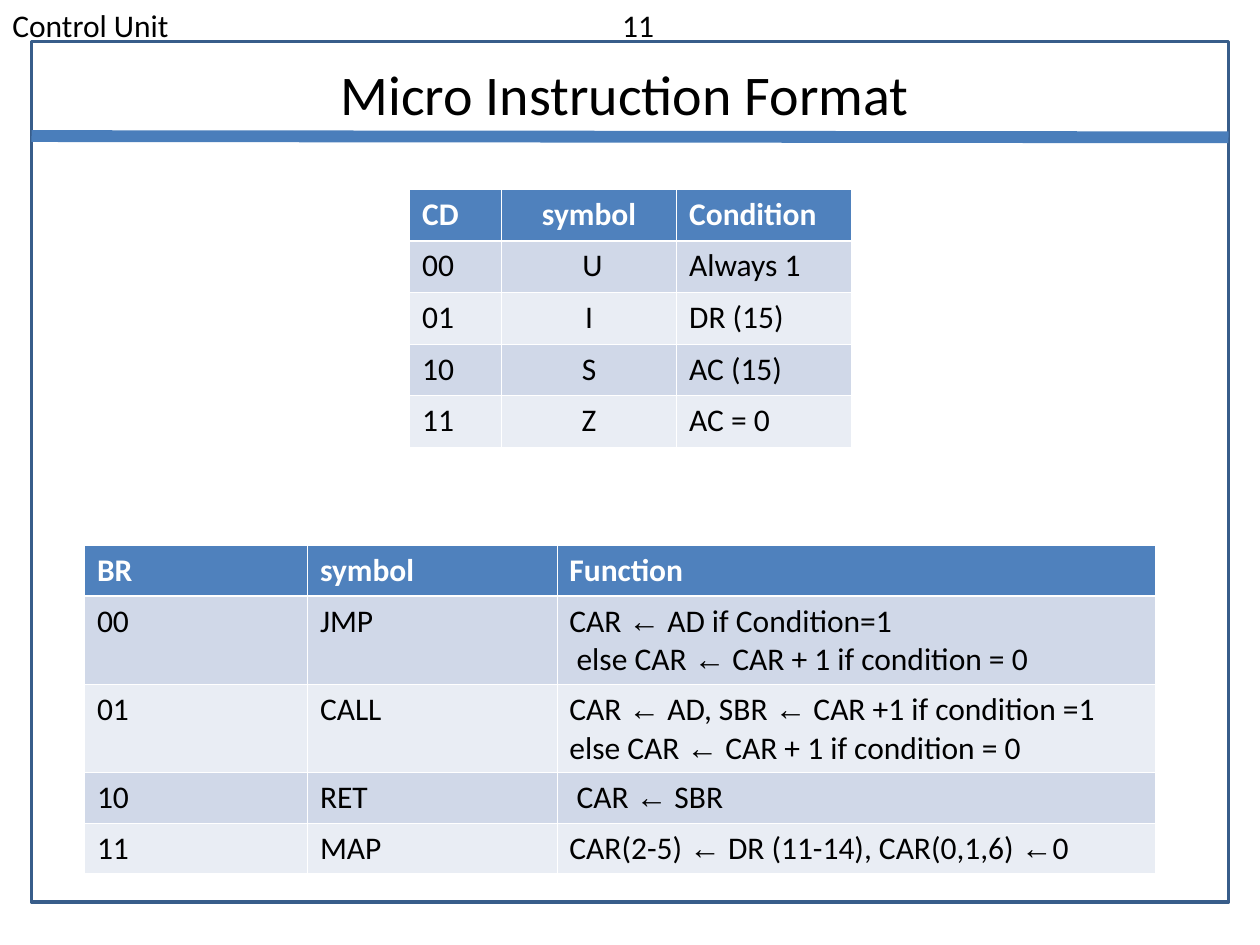
import itertools

import lxml.etree
import pptx
import pptx.dml.color
import pptx.enum.shapes
import pptx.enum.text
import pptx.oxml
import pptx.oxml.ns
import pptx.util

Inches = pptx.util.Inches
Pt = pptx.util.Pt
qn = pptx.oxml.ns.qn
ALIGN = pptx.enum.text.PP_ALIGN

COLORS = {
    "text": "000000",
    "white": "FFFFFF",
    "frame": "385D8A",
    "rule": "4A7EBB",
    "header": "4F81BD",
    "band_dark": "D0D8E8",
    "band_light": "E9EDF4",
}

CONDITIONS = [
    ["CD", "symbol", "Condition"],
    ["00", " U", "Always 1"],
    ["01", "I", "DR (15)"],
    ["10", "S", "AC (15)"],
    ["11", "Z", "AC = 0"],
]

BRANCHES = [
    ["BR", "symbol", "Function"],
    ["00", "JMP", "CAR ← AD if Condition=1\n else CAR ← CAR + 1 if condition = 0"],
    ["01", "CALL", "CAR ← AD, SBR ← CAR +1 if condition =1 else CAR ← CAR + 1 if condition = 0"],
    ["10", "RET", " CAR ← SBR"],
    ["11", "MAP", "CAR(2-5) ← DR (11-14), CAR(0,1,6) ←0"],
]


def rgb(name):
    """Return the named colour."""
    return pptx.dml.color.RGBColor.from_string(COLORS[name])


def add_runs(p, text, size=18, color="text", bold=False):
    """Add text to a paragraph, with arrows in their own Arial runs."""
    for is_arrow, chars in itertools.groupby(text, lambda c: c == "←"):
        r = p.add_run()
        r.text = "".join(chars)
        r.font.name = "Arial" if is_arrow else "Calibri"
        r.font.size = Pt(size)
        r.font.bold = bold
        r.font.color.rgb = rgb(color)


def add_title(s, text):
    """Place and fill the title placeholder."""
    sp = s.shapes.title
    sp.left, sp.top, sp.width, sp.height = map(Inches, (0.75, 0.42, 8.42, 0.64))
    tf = sp.text_frame
    tf.vertical_anchor = pptx.enum.text.MSO_ANCHOR.TOP
    tf.paragraphs[0].alignment = ALIGN.CENTER
    add_runs(tf.paragraphs[0], text, size=32)


def add_page_header(s, chapter, page):
    """Add the chapter name and the page number, parted by a tab stop."""
    tf = s.shapes.add_textbox(0, 0, Inches(10), Inches(0.41)).text_frame
    tf.word_wrap = True
    p = tf.paragraphs[0]
    tabs = lxml.etree.SubElement(p._p.get_or_add_pPr(), qn("a:tabLst"))
    lxml.etree.SubElement(tabs, qn("a:tab"), pos=str(Inches(4.84)), algn="l")
    add_runs(p, f"{chapter}\t{page}")


def add_frame(s):
    """Add the outline around the slide content."""
    sp = s.shapes.add_shape(
        pptx.enum.shapes.MSO_SHAPE.RECTANGLE,
        Inches(0.25), Inches(0.33), Inches(9.5), Inches(6.83),
    )
    sp.shadow.inherit = False
    sp.fill.background()
    sp.line.color.rgb = rgb("frame")
    sp.line.width = Pt(2)


def add_rule(s):
    """Add the thick line under the title."""
    cx = s.shapes.add_connector(
        pptx.enum.shapes.MSO_CONNECTOR.STRAIGHT,
        Inches(0.25), Inches(1.08), Inches(9.75), Inches(1.09),
    )
    cx.line.color.rgb = rgb("rule")
    cx.line.width = Pt(6.75)
    lxml.etree.SubElement(cx._element.spPr, qn("a:effectLst"))


def set_borders(cell, top, bottom):
    """Give a cell white borders, with the top and bottom widths in points."""
    tcPr = cell._tc.get_or_add_tcPr()
    for side, width in (("L", 0.45), ("R", 0.45), ("T", top), ("B", bottom)):
        ln = lxml.etree.SubElement(tcPr, qn(f"a:ln{side}"), w=str(Pt(width)))
        fill = lxml.etree.SubElement(ln, qn("a:solidFill"))
        lxml.etree.SubElement(fill, qn("a:srgbClr"), val=COLORS["white"])


def fill_cell(cell, text, row, align):
    """Write and style one cell according to its row."""
    set_borders(cell, 1.47 if row == 1 else 0.45, 1.47 if row == 0 else 0.45)
    band = "band_dark" if row % 2 else "band_light"
    cell.fill.solid()
    cell.fill.fore_color.rgb = rgb(band if row else "header")
    tf = cell.text_frame
    for i, line in enumerate(text.split("\n")):
        p = tf.add_paragraph() if i else tf.paragraphs[0]
        p.alignment = align
        add_runs(p, line, color="text" if row else "white", bold=row == 0)


def add_table(s, rows, left, top, widths, heights, centered=()):
    """Add a banded table, with the listed columns centred."""
    table = s.shapes.add_table(
        len(rows), len(widths), Inches(left), Inches(top),
        Inches(sum(widths)), Inches(sum(heights)),
    ).table
    for column, width in zip(table.columns, widths):
        column.width = Inches(width)
    for i, (values, height) in enumerate(zip(rows, heights)):
        table.rows[i].height = Inches(height)
        for j, text in enumerate(values):
            align = ALIGN.CENTER if j in centered else ALIGN.LEFT
            fill_cell(table.cell(i, j), text, i, align)


def main():
    """Build the slide and save it."""
    prs = pptx.Presentation()
    prs.slide_width, prs.slide_height = Inches(10), Inches(7.5)
    s = prs.slides.add_slide(prs.slide_layouts[5])
    add_frame(s)
    add_page_header(s, "Control Unit", 11)
    add_rule(s)
    add_title(s, "Micro Instruction Format")
    add_table(s, CONDITIONS, 3.25, 1.5, [0.73, 1.39, 1.39], [0.41] * 5, centered=(1,))
    add_table(s, BRANCHES, 0.67, 4.33, [1.77, 1.98, 4.75], [0.4, 0.7, 0.7, 0.4, 0.4])
    prs.save("out.pptx")


if __name__ == "__main__":
    main()
